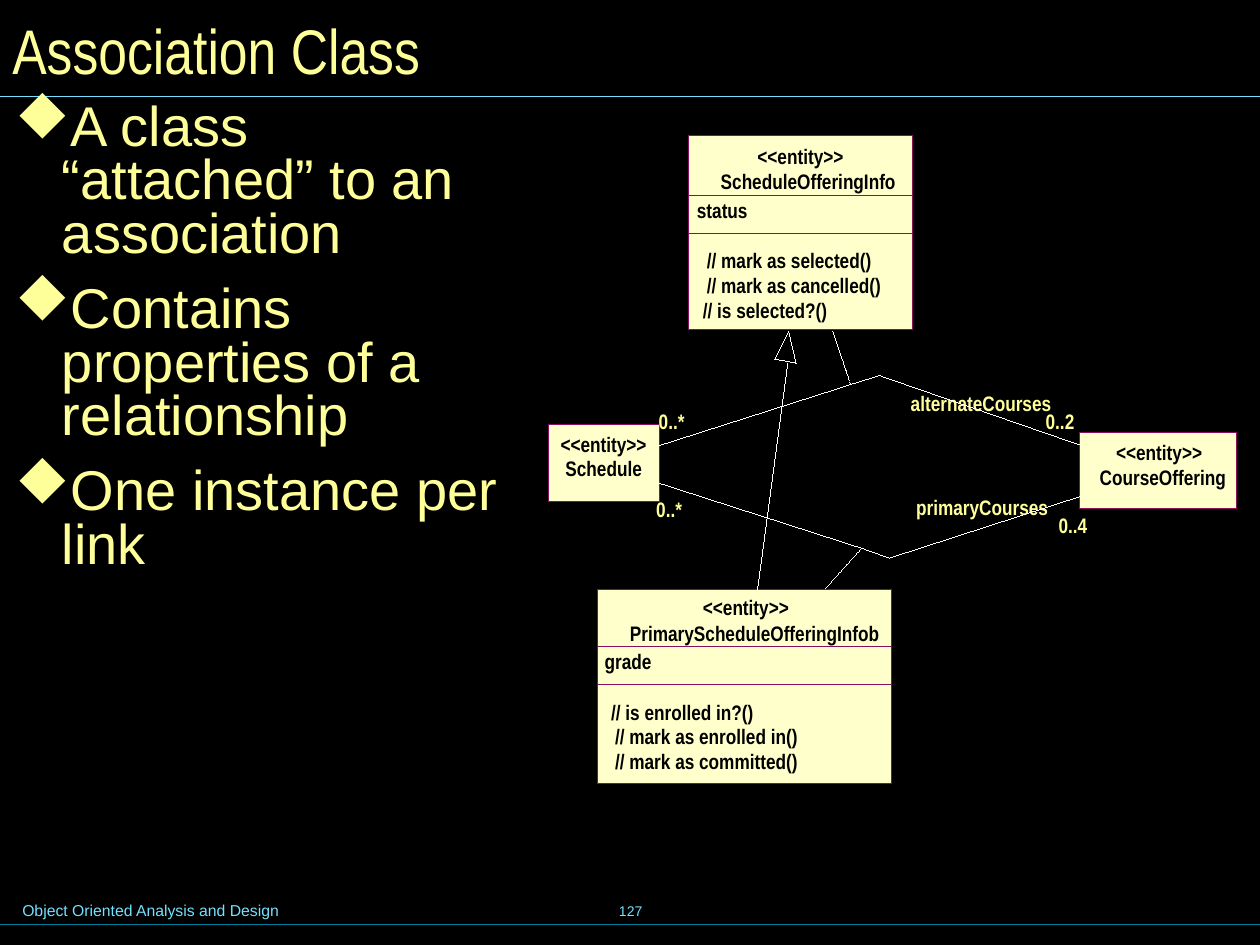
from lxml import etree
from pptx import Presentation
from pptx.dml.color import RGBColor
from pptx.enum.dml import MSO_LINE
from pptx.enum.shapes import MSO_CONNECTOR, MSO_SHAPE
from pptx.enum.text import MSO_ANCHOR, PP_ALIGN
from pptx.oxml.ns import qn
from pptx.util import Cm, Pt

RECTANGLE = MSO_SHAPE.RECTANGLE
STRAIGHT = MSO_CONNECTOR.STRAIGHT
DASH = MSO_LINE.SQUARE_DOT
TOP, MIDDLE = MSO_ANCHOR.TOP, MSO_ANCHOR.MIDDLE
LEFT, CENTER = PP_ALIGN.LEFT, PP_ALIGN.CENTER

BLACK, WHITE, YELLOW, CREAM = "000000", "FFFFFF", "FFFF99", "FFFFCC"
PLUM, SKY, TEAL = "8A0E5E", "73E1FF", "007E9F"
PLAIN, NARROW = "Arial", "Arial Narrow"
STEREOTYPE = "<<entity>>"
LABEL_HEIGHT, LABEL_SLACK = 0.51, 0.3
HAIRLINE = 0.01
MARGINS = ("margin_left", "margin_top", "margin_right", "margin_bottom")

CLASSES = [
    (13.89, 4.5, [2.74, 3.94, 4.7], 6.65, [
        (STEREOTYPE, 15.27, 2.9, 1.73),
        ("ScheduleOfferingInfo", 14.53, 3.4, 3.53),
        ("status", 14.05, 3.99, 1.02),
        ("// mark as selected()", 14.25, 5, 3.33),
        ("// mark as cancelled()", 14.25, 5.49, 3.51),
        ("// is selected?()", 14.17, 5.99, 2.51)]),
    (21.77, 3.15, [8.71], 10.26, [
        (STEREOTYPE, 22.5, 8.86, 1.73),
        ("CourseOffering", 22.17, 9.37, 2.54)]),
    (11.05, 2.24, [8.56], 10.11, [
        (STEREOTYPE, 11.3, 8.69, 1.73),
        ("Schedule", 11.4, 9.19, 1.55)]),
    (12.04, 5.94, [11.89, 13.03, 13.79], 15.8, [
        (STEREOTYPE, 14.17, 11.99, 1.73),
        ("PrimaryScheduleOfferingInfob", 12.7, 12.5, 5.03),
        ("grade", 12.19, 13.08, 0.94),
        ("// is enrolled in?()", 12.32, 14.1, 2.87),
        ("// mark as enrolled in()", 12.4, 14.58, 3.68),
        ("// mark as committed()", 12.4, 15.09, 3.68)]),
]
ASSOCIATION_LABELS = [
    ("0..*", 13.23, 10.01, 0.53),
    ("0..4", 21.34, 10.34, 0.58),
    ("primaryCourses", 18.47, 9.96, 2.67),
    ("alternateCourses", 18.36, 7.87, 2.84),
    ("0..*", 13.28, 8.23, 0.53),
    ("0..2", 21.08, 8.23, 0.58),
]
PRIMARY_JOINT, ALTERNATE_JOINT = (17.37, 11.05), (17.15, 7.75)
SOLID_LINKS = [
    (PRIMARY_JOINT, (13.26, 9.73)),
    (ALTERNATE_JOINT, (13.26, 8.99)),
    ((15.27, 11.89), (15.88, 7.32)),
]
DASHED_LINKS = [
    ((16.64, 11.86), PRIMARY_JOINT),
    ((16.79, 6.68), ALTERNATE_JOINT),
]
BENT_LINKS = [
    [PRIMARY_JOINT, (17.93, 11.25), (21.77, 10.01)],
    [ALTERNATE_JOINT, (17.73, 7.57), (21.77, 8.97)],
]
INHERITANCE_HEAD = [(15.9, 6.68), (16.05, 7.32), (15.62, 7.24)]
PROPERTIES = [
    "A class “attached” to an association",
    "Contains properties of a relationship",
    "One instance per link",
]


def rgb(value):
    return RGBColor.from_string(value)


def apply(target, values):
    for name, value in values.items():
        setattr(target, name, value)


def set_line(line, color, width=HAIRLINE):
    line.color.rgb = rgb(color)
    line.width = Pt(width)


def add_text(slide, box, paragraphs, size, font, color, bold=False, align=LEFT,
             anchor=TOP, wrap=True, insets=(0.25, 0.13), bullet=False):
    frame = slide.shapes.add_textbox(*map(Cm, box)).text_frame
    apply(frame, {"word_wrap": wrap, "vertical_anchor": anchor})
    apply(frame, dict(zip(MARGINS, map(Cm, insets * 2))))
    for index, text in enumerate(paragraphs):
        paragraph = frame.add_paragraph() if index else frame.paragraphs[0]
        paragraph.text = text
        paragraph.alignment = align
        if bullet:
            add_bullet(paragraph, color)
            apply(paragraph, {"line_spacing": 0.8,
                              "space_before": Pt(12 if index else 0)})
        apply(paragraph.font, {"size": Pt(size), "name": font, "bold": bold})
        paragraph.font.color.rgb = rgb(color)


def add_bullet(paragraph, color):
    properties = paragraph._p.get_or_add_pPr()
    properties.set("marL", str(Cm(0.95)))
    properties.set("indent", str(-Cm(0.95)))
    bullet_color = etree.SubElement(properties, qn("a:buClr"))
    etree.SubElement(bullet_color, qn("a:srgbClr"), val=color)
    etree.SubElement(properties, qn("a:buFont"), typeface="Wingdings",
                     pitchFamily="2", charset="2")
    etree.SubElement(properties, qn("a:buChar"), char="u")


def add_label(slide, text, left, top, width, color):
    add_text(slide, (left, top, width + LABEL_SLACK, LABEL_HEIGHT), [text], 12,
             NARROW, color, bold=True, insets=(0, 0))


def add_class(slide, left, width, tops, bottom, labels):
    for top in tops:
        compartment = slide.shapes.add_shape(
            RECTANGLE, *map(Cm, (left, top, width, bottom - top)))
        compartment.shadow.inherit = False
        compartment.fill.solid()
        compartment.fill.fore_color.rgb = rgb(CREAM)
        set_line(compartment.line, PLUM)
    for label in labels:
        add_label(slide, *label, BLACK)


def add_link(slide, start, end, color=WHITE, width=HAIRLINE, dash=None):
    link = slide.shapes.add_connector(STRAIGHT, *map(Cm, start + end))
    set_line(link.line, color, width)
    if dash:
        link.line.dash_style = dash
    etree.SubElement(link._element.spPr, qn("a:effectLst"))


def add_outline(slide, points, close=False):
    corners = [(Cm(x), Cm(y)) for x, y in points]
    builder = slide.shapes.build_freeform(*corners[0])
    builder.add_line_segments(corners[1:], close=close)
    outline = builder.convert_to_shape()
    outline.shadow.inherit = False
    outline.fill.background()
    set_line(outline.line, WHITE)


def add_frame(slide):
    add_text(slide, (0.2, 18.03, 12.95, 0.64),
             ["Object Oriented Analysis and Design"], 9, PLAIN, SKY)
    add_text(slide, (8.69, 17.73, 8.05, 1.27), ["127"], 8, PLAIN, SKY,
             align=CENTER, anchor=MIDDLE, wrap=False)
    add_link(slide, (0, 18.63), (25.4, 18.63), TEAL, 0.75)
    add_link(slide, (0, 1.94), (25.4, 1.94), SKY, 0.75)
    add_text(slide, (0, 0, 25.22, 1.98), ["Association Class"], 36, NARROW,
             YELLOW, anchor=MIDDLE)


def main():
    deck = Presentation()
    apply(deck, {"slide_width": Cm(25.4), "slide_height": Cm(19.05)})
    slide = deck.slides.add_slide(deck.slide_layouts[6])
    slide.background.fill.solid()
    slide.background.fill.fore_color.rgb = rgb(BLACK)

    add_frame(slide)
    add_text(slide, (0, 1.93, 10.34, 15.6), PROPERTIES, 32, PLAIN, YELLOW,
             insets=(0.3, 0.15), bullet=True)
    for entity in CLASSES:
        add_class(slide, *entity)
    for label in ASSOCIATION_LABELS:
        add_label(slide, *label, YELLOW)
    for start, end in SOLID_LINKS:
        add_link(slide, start, end)
    for start, end in DASHED_LINKS:
        add_link(slide, start, end, dash=DASH)
    for points in BENT_LINKS:
        add_outline(slide, points)
    add_outline(slide, INHERITANCE_HEAD, close=True)
    deck.save("out.pptx")


if __name__ == "__main__":
    main()
